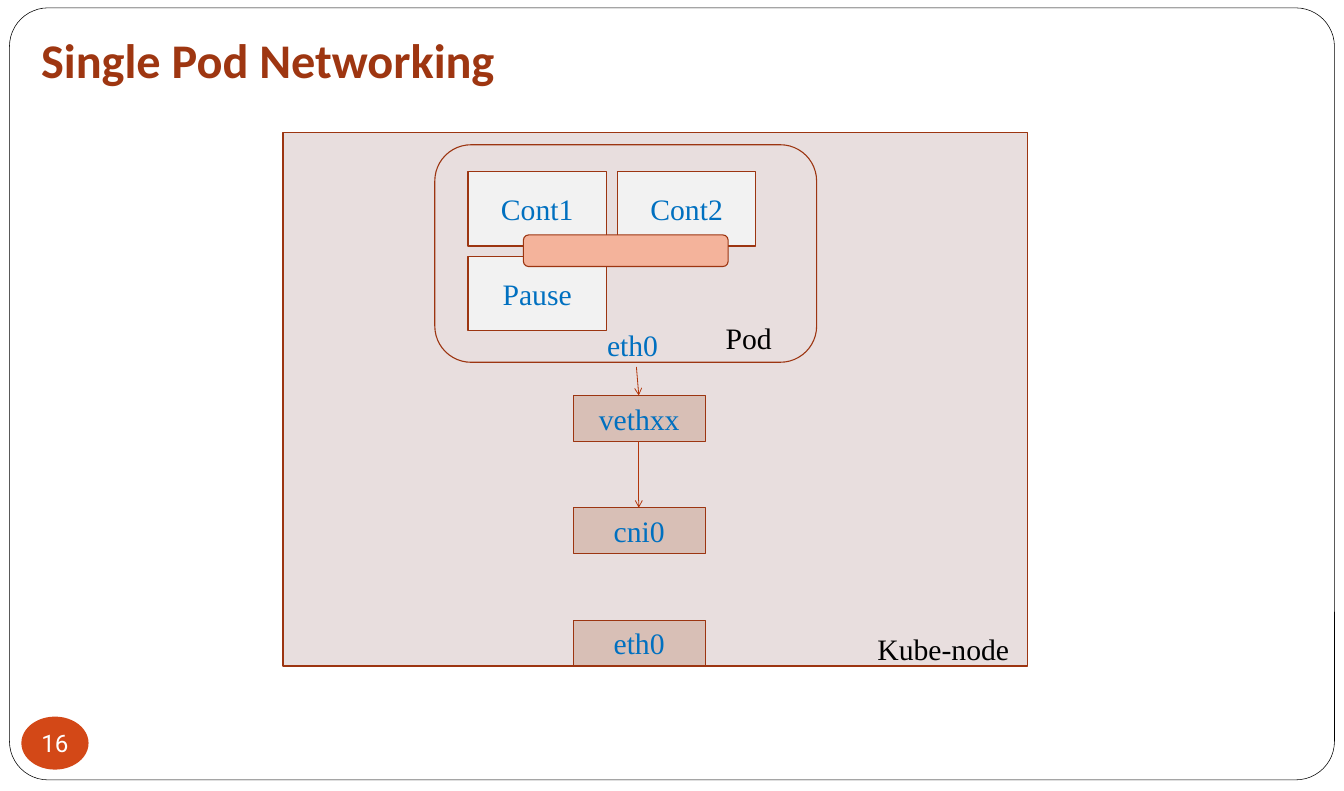
from dataclasses import dataclass
from typing import NamedTuple, Optional

from lxml.etree import SubElement
from pptx import Presentation
from pptx.dml.color import RGBColor
from pptx.enum.shapes import MSO_CONNECTOR, MSO_SHAPE
from pptx.enum.text import MSO_ANCHOR, PP_ALIGN
from pptx.oxml.ns import qn
from pptx.util import Inches, Pt


@dataclass(frozen=True)
class Theme:
    white: str = "FFFFFF"
    black: str = "000000"
    title: str = "9E3611"
    badge: str = "D34817"
    outline: str = "9C3511"
    arrow: str = "B1360B"
    node: str = "E8DEDE"
    container: str = "F2F2F2"
    shared: str = "F4B39B"
    interface: str = "D8BFB6"
    label: str = "0070C0"
    title_font: str = "Calibri"
    badge_font: str = "Roboto"
    body_font: str = "Times New Roman"
    title_size: int = 44
    badge_size: int = 22
    body_size: int = 27


T = Theme()


class Rect(NamedTuple):
    left: float
    top: float
    width: float
    height: float


class TextStyle(NamedTuple):
    color: str
    size: int = T.body_size
    font: str = T.body_font
    bold: bool = False
    align: PP_ALIGN = PP_ALIGN.LEFT
    anchor: MSO_ANCHOR = MSO_ANCHOR.TOP


class Box(NamedTuple):
    rect: Rect
    fill: Optional[str]
    text: str = ""
    kind: MSO_SHAPE = MSO_SHAPE.RECTANGLE


class Label(NamedTuple):
    rect: Rect
    text: str
    color: str


class Arrow(NamedTuple):
    x1: float
    y1: float
    x2: float
    y2: float


CENTERED = TextStyle(T.label, align=PP_ALIGN.CENTER, anchor=MSO_ANCHOR.MIDDLE)
TITLE = TextStyle(T.title, T.title_size, T.title_font, True)
BADGE = CENTERED._replace(color=T.white, size=T.badge_size, font=T.badge_font)

CONTAINER_LEFT, CONTAINER_TOP = 5.92, 2.17
CONTAINER_W, CONTAINER_H = 1.75, 0.94
COLUMN_STEP, ROW_STEP = 1.89, 1.07
INTERFACE_LEFT, INTERFACE_TOP = 7.25, 5
INTERFACE_W, INTERFACE_H, INTERFACE_STEP = 1.67, 0.58, 1.42
INTERFACE_MID = 8.08

NODE = Box(Rect(3.58, 1.67, 9.42, 6.75), T.node)
POD = Box(Rect(5.5, 1.83, 4.83, 2.75), None, kind=MSO_SHAPE.ROUNDED_RECTANGLE)
CONTAINERS = [
    Box(Rect(CONTAINER_LEFT + col * COLUMN_STEP, CONTAINER_TOP + row * ROW_STEP,
             CONTAINER_W, CONTAINER_H), T.container, name)
    for name, col, row in (("Cont1", 0, 0), ("Cont2", 1, 0), ("Pause", 0, 1))
]
SHARED_NETWORK = Box(Rect(6.62, 2.97, 2.59, 0.4), T.shared,
                     kind=MSO_SHAPE.ROUNDED_RECTANGLE)
INTERFACES = [
    Box(Rect(INTERFACE_LEFT, INTERFACE_TOP + i * INTERFACE_STEP,
             INTERFACE_W, INTERFACE_H), T.interface, name)
    for i, name in enumerate(("vethxx", "cni0", "eth0"))
]
LABELS = [
    Label(Rect(11, 7.92, 2.42, 0.56), "Kube-node", T.black),
    Label(Rect(9.08, 4, 0.88, 0.56), "Pod", T.black),
    Label(Rect(7.58, 4.08, 1, 0.56), "eth0", T.label),
]
ARROWS = [
    Arrow(8.05, 4.64, INTERFACE_MID, INTERFACE_TOP),
    Arrow(INTERFACE_MID, INTERFACE_TOP + INTERFACE_H,
          INTERFACE_MID, INTERFACE_TOP + INTERFACE_STEP),
]


def write(sp, text: str, style: TextStyle, **frame_format) -> None:
    tf = sp.text_frame
    for name, value in {"word_wrap": True, "vertical_anchor": style.anchor,
                        **frame_format}.items():
        setattr(tf, name, value)
    p = tf.paragraphs[0]
    p.alignment = style.align
    r = p.add_run()
    r.text = text
    font_format = {"name": style.font, "size": Pt(style.size), "bold": style.bold}
    for name, value in font_format.items():
        setattr(r.font, name, value)
    r.font.color.rgb = RGBColor.from_string(style.color)


def add_box(s, box: Box, line: Optional[str] = T.outline, weight: float = 1):
    sp = s.shapes.add_shape(box.kind, *map(Inches, box.rect))
    sp.shadow.inherit = False
    if box.fill:
        sp.fill.solid()
        sp.fill.fore_color.rgb = RGBColor.from_string(box.fill)
    else:
        sp.fill.background()
    if line:
        sp.line.color.rgb = RGBColor.from_string(line)
        sp.line.width = Pt(weight)
    else:
        sp.line.fill.background()
    if box.text:
        write(sp, box.text, CENTERED)
    return sp


def add_label(s, label: Label) -> None:
    sp = s.shapes.add_textbox(*map(Inches, label.rect))
    write(sp, label.text, TextStyle(label.color))


def add_arrow(s, arrow: Arrow) -> None:
    sp = s.shapes.add_connector(MSO_CONNECTOR.STRAIGHT, *map(Inches, arrow))
    sp.line.color.rgb = RGBColor.from_string(T.arrow)
    sp.line.width = Pt(0.75)
    SubElement(sp.line._get_or_add_ln(), qn("a:tailEnd"), type="arrow")
    SubElement(sp.element.spPr, qn("a:effectLst"))


def add_title(s, text: str) -> None:
    sp = s.shapes.title
    for name, value in Rect(0.42, 0.33, 6.3, 0.84)._asdict().items():
        setattr(sp, name, Inches(value))
    write(sp, text, TITLE)


def add_frame(s) -> None:
    """Draw the page outline behind the title, and the page number."""
    frame = add_box(s, Box(Rect(0.12, 0.1, 16.76, 9.76), T.white,
                           kind=MSO_SHAPE.ROUNDED_RECTANGLE), T.black, 0.5)
    frame.adjustments[0] = 0.05
    s.shapes.title.element.addprevious(frame.element)
    badge = add_box(s, Box(Rect(0.27, 9.06, 0.85, 0.67), T.badge,
                           kind=MSO_SHAPE.OVAL), None)
    margins = ("margin_left", "margin_top", "margin_right", "margin_bottom")
    write(badge, "16", BADGE, **dict.fromkeys(margins, 0))


def main() -> None:
    prs = Presentation()
    prs.slide_width, prs.slide_height = Inches(17), Inches(10)
    s = prs.slides.add_slide(prs.slide_layouts[5])
    add_title(s, "Single Pod Networking")
    add_frame(s)
    for box in (NODE, POD, *CONTAINERS, SHARED_NETWORK, *INTERFACES):
        add_box(s, box)
    for arrow in ARROWS:
        add_arrow(s, arrow)
    for label in LABELS:
        add_label(s, label)
    prs.save("out.pptx")


if __name__ == "__main__":
    main()
